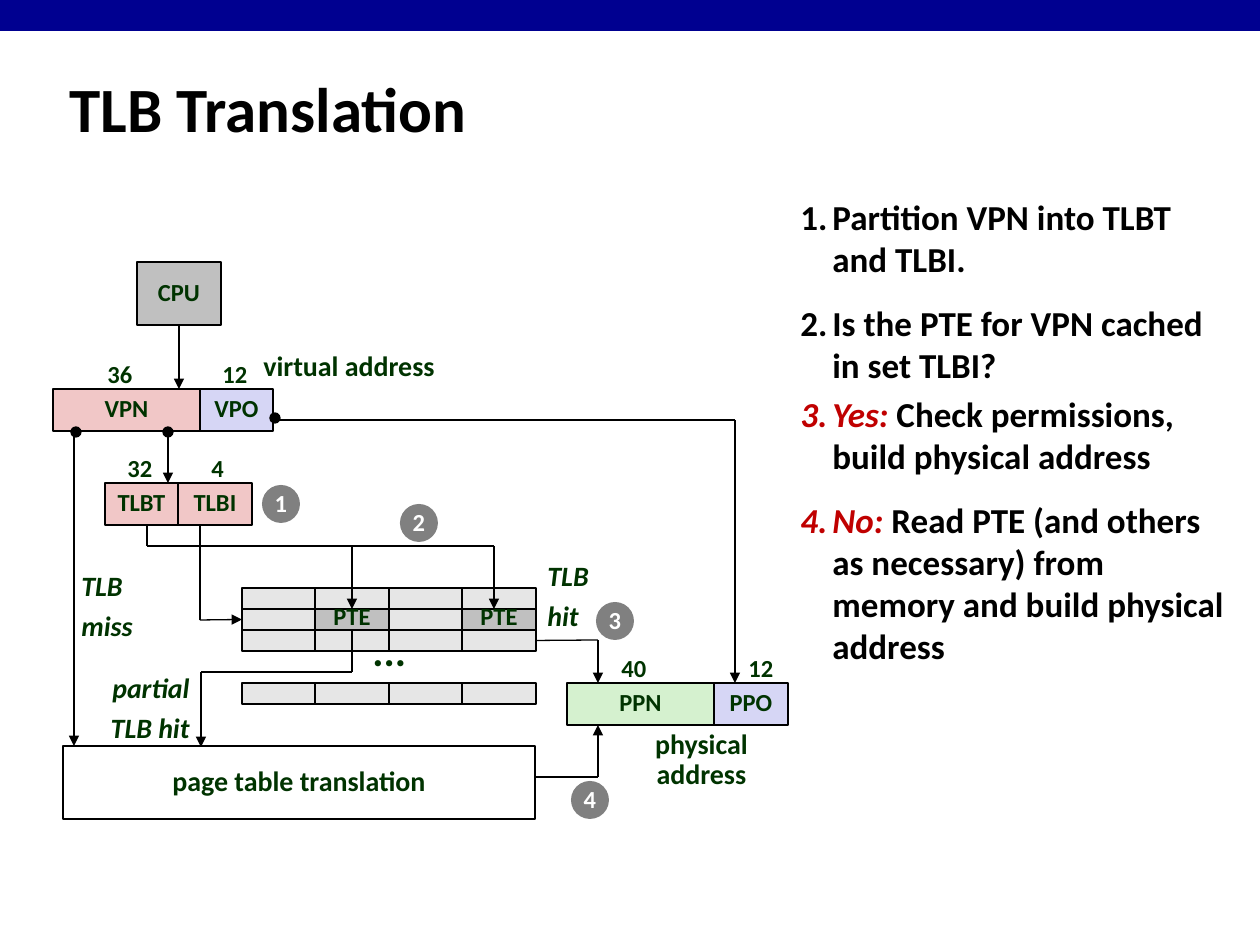
from lxml.etree import SubElement
from pptx import Presentation
from pptx.dml.color import RGBColor
from pptx.enum.shapes import MSO_CONNECTOR as Connector, MSO_SHAPE as Shape
from pptx.enum.text import MSO_ANCHOR as Anchor, MSO_AUTO_SIZE as AutoSize, PP_ALIGN as Align
from pptx.oxml.ns import qn
from pptx.util import Emu, Pt

PX_PER_INCH = 126
BLACK, WHITE, GREEN, RED = "000000", "FFFFFF", "003300", "C00000"
NAVY, PINK, LILAC, MINT = "000090", "F1C7C7", "D6D6F5", "D5F1CF"
PALE, SILVER, GRAY = "E6E6E6", "C0C0C0", "808080"
TOP, LEFT, BOTTOM, RIGHT = range(4)


def px(length):
    return Emu(round(length * 914400 / PX_PER_INCH))


def color(value):
    return RGBColor.from_string(value)


class Page:
    font = "Calibri"
    line_width = Pt(0.75)
    line_spacing = 0.88

    def __init__(self, deck):
        self.slide = deck.slides.add_slide(deck.slide_layouts[5])
        self.shapes = self.slide.shapes

    def span(self, para, text, size, fill=GREEN, italic=False):
        run = para.add_run()
        run.text = text
        run.font.name = self.font
        run.font.size = Pt(size)
        run.font.bold = True
        run.font.italic = italic
        run.font.color.rgb = color(fill)

    def title(self, text, x, y, w, h):
        box = self.shapes.title
        box.left, box.top, box.width, box.height = map(px, (x, y, w, h))
        box.text_frame.vertical_anchor = Anchor.MIDDLE
        para = box.text_frame.paragraphs[0]
        para.alignment = Align.LEFT
        self.span(para, text, 36, BLACK)

    def shape(self, kind, x, y, w, h, fill, outline=True):
        shape = self.shapes.add_shape(kind, *map(px, (x, y, w, h)))
        shape.shadow.inherit = False
        shape.fill.solid()
        shape.fill.fore_color.rgb = color(fill)
        if outline:
            shape.line.color.rgb = color(BLACK)
            shape.line.width = self.line_width
        else:
            shape.line.fill.background()
        return shape

    def caption(self, shape, text, size=14, fill=GREEN, spacing=line_spacing):
        frame = shape.text_frame
        frame.word_wrap = False
        frame.vertical_anchor = Anchor.MIDDLE
        para = frame.paragraphs[0]
        para.alignment = Align.CENTER
        para.line_spacing = spacing
        self.span(para, text, size, fill)

    def block(self, text, x, y, w, h, fill, size=14):
        box = self.shape(Shape.RECTANGLE, x, y, w, h, fill)
        self.caption(box, text, size)
        return box

    def cell(self, x, y, w, h, text=None):
        box = self.shape(Shape.RECTANGLE, x, y, w, h, SILVER if text else PALE)
        if text:
            self.caption(box, text)
            box.text_frame.margin_top, box.text_frame.margin_bottom = 0, px(3)
        return box

    def badge(self, text, x, y):
        circle = self.shape(Shape.OVAL, x, y, 38, 38, GRAY, outline=False)
        self.caption(circle, text, fill=WHITE, spacing=0.98)

    def dot(self, x, y):
        self.shape(Shape.OVAL, x, y, 10, 10, BLACK)

    def label(self, lines, x, y, w, h, size=16, italic=False, align=Align.LEFT, wrap=False):
        box = self.shapes.add_textbox(*map(px, (x, y, w, h)))
        frame = box.text_frame
        frame.word_wrap = wrap
        frame.auto_size = AutoSize.SHAPE_TO_FIT_TEXT
        for index, text in enumerate(lines):
            para = frame.add_paragraph() if index else frame.paragraphs[0]
            para.alignment = align
            para.line_spacing = self.line_spacing
            if index:
                para.space_before = Pt(6)
            self.span(para, text, size, italic=italic)

    def steps(self, items, x, y, w, h):
        frame = self.shapes.add_textbox(*map(px, (x, y, w, h))).text_frame
        frame.word_wrap = True
        for index, (gap, lead, text) in enumerate(items):
            para = frame.add_paragraph() if index else frame.paragraphs[0]
            properties = para._p.get_or_add_pPr()
            properties.set("marL", str(px(32)))
            properties.set("indent", str(-px(32)))
            SubElement(properties, qn("a:buFont"), typeface="+mj-lt")
            SubElement(properties, qn("a:buAutoNum"), type="arabicPeriod")
            para.space_before = Pt(gap)
            if lead:
                self.span(para, lead, 20, RED, italic=True)
            self.span(para, text, 20, BLACK)

    def line(self, start, end, arrow=False, source=None, target=None):
        line = self.shapes.add_connector(Connector.STRAIGHT, *map(px, start + end))
        if source:
            line.begin_connect(*source)
        if target:
            line.end_connect(*target)
        line.line.color.rgb = color(BLACK)
        line.line.width = self.line_width
        if arrow:
            SubElement(line.line._get_or_add_ln(), qn("a:tailEnd"), type="triangle")
        SubElement(line._element.spPr, qn("a:effectLst"))


def main():
    deck = Presentation()
    deck.slide_width, deck.slide_height = px(1260), px(945)
    page = Page(deck)
    page.shape(Shape.RECTANGLE, 0, 0, 1260, 31, NAVY, outline=False)
    page.title("TLB Translation", 57, 68, 961, 79)
    page.steps([
        (0, "", "Partition VPN into TLBT and TLBI."),
        (12.5, "", "Is the PTE for VPN cached in set TLBI?"),
        (4, "Yes: ", "Check permissions, build physical address"),
        (12.5, "No: ", "Read PTE (and others as necessary) from memory and build physical address"),
    ], 788, 189, 451, 514)

    cpu = page.block("CPU", 137, 262, 84, 63, SILVER)
    for text, x, y, w, fill in [
        ("VPN", 53, 389, 147, PINK), ("VPO", 200, 389, 73, LILAC),
        ("TLBT", 105, 483, 73, PINK), ("TLBI", 178, 483, 74, PINK),
        ("PPN", 567, 683, 147, MINT), ("PPO", 714, 683, 74, LILAC),
    ]:
        page.block(text, x, y, w, 42, fill)
    page.block("page table translation", 63, 746, 472, 73, WHITE, size=16)

    edges = [242 + column * 147 // 2 for column in range(5)]
    cells = {}
    for row, y in enumerate([588, 609, 630, 683]):
        for column, (x, end) in enumerate(zip(edges, edges[1:])):
            text = "PTE" if row == 1 and column in (1, 3) else None
            cells[row, column] = page.cell(x, y, end - x, 21, text)

    for bits, x, y, w in [
        ("36", 95, 357, 50), ("12", 210, 357, 50), ("32", 115, 451, 50),
        ("4", 199, 451, 38), ("40", 609, 651, 50), ("12", 736, 651, 50),
    ]:
        page.label([bits], x, y, w, 39, size=14)
    page.label(["virtual address"], 251, 347, 199, 42)
    page.label(["..."], 360, 625, 59, 57, size=24)
    page.label(["TLB", "miss"], 69, 567, 77, 83, italic=True)
    page.label(["TLB", "hit"], 535, 557, 79, 83, italic=True, wrap=True)
    page.label(["partial", "TLB hit"], 89, 669, 113, 83, italic=True, align=Align.RIGHT, wrap=True)
    page.label(["physical address"], 626, 725, 151, 74, align=Align.CENTER, wrap=True)

    for x, y in [(71, 427), (163, 427), (270, 413)]:
        page.dot(x, y)
    for start, end in [
        ((200, 525), (200, 620)), ((147, 525), (147, 546)), ((147, 546), (494, 546)),
        ((535, 777), (598, 777)), ((273, 420), (735, 420)), ((352, 672), (201, 672)),
    ]:
        page.line(start, end)
    for start, end in [
        ((168, 431), (168, 483)), ((494, 546), (494, 609)), ((74, 431), (74, 746)),
        ((598, 640), (598, 683)), ((598, 777), (598, 725)), ((735, 420), (735, 683)),
        ((201, 672), (201, 747)),
    ]:
        page.line(start, end, arrow=True)
    page.line((179, 325), (179, 389), arrow=True, source=(cpu, BOTTOM))
    page.line((200, 620), (242, 620), arrow=True, target=(cells[1, 0], LEFT))
    page.line((352, 546), (352, 609), arrow=True, target=(cells[1, 1], TOP))
    page.line((352, 630), (352, 672), source=(cells[1, 1], BOTTOM))
    page.line((535, 640), (598, 640), source=(cells[2, 3], RIGHT))

    for number, (x, y) in enumerate([(262, 485), (400, 504), (596, 602), (571, 781)], 1):
        page.badge(str(number), x, y)
    deck.save("out.pptx")


if __name__ == "__main__":
    main()
